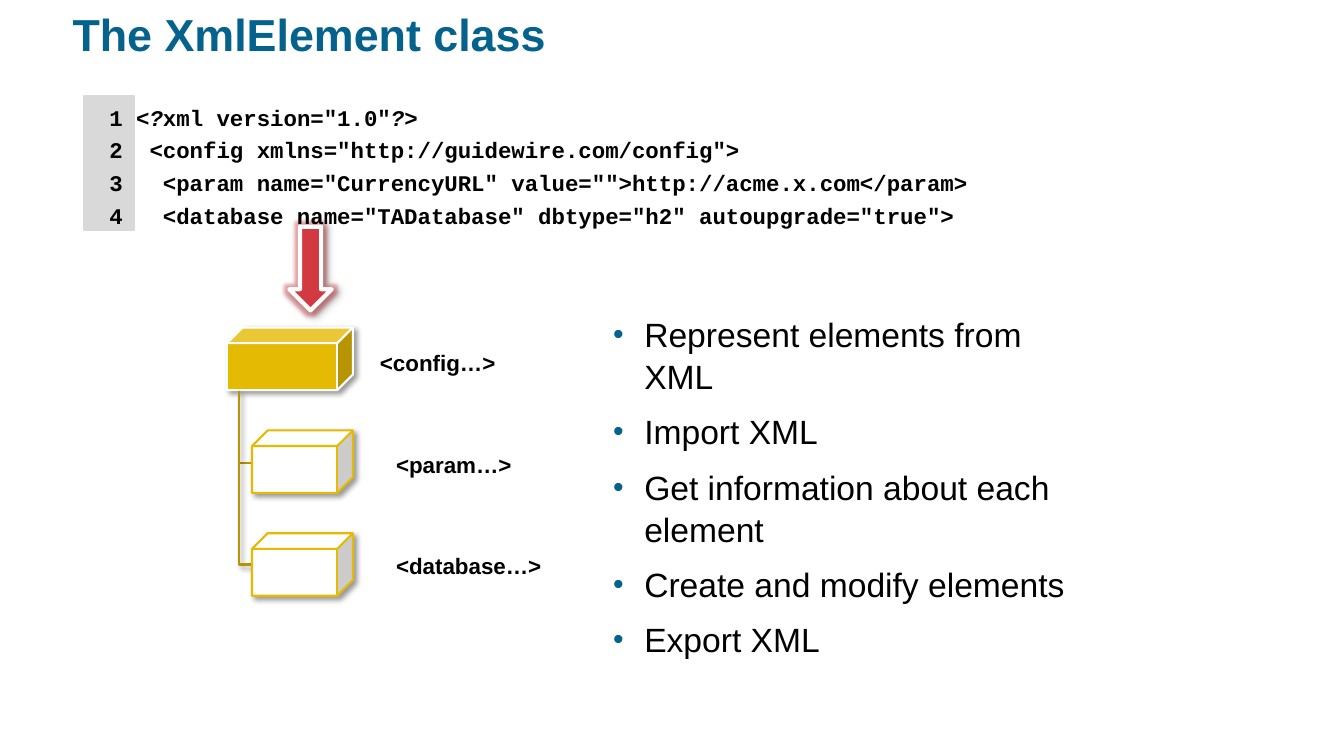
from lxml import etree
from pptx import Presentation
from pptx.dml.color import RGBColor
from pptx.enum.shapes import MSO_SHAPE as SHAPE
from pptx.enum.text import MSO_ANCHOR as ANCHOR
from pptx.oxml import parse_xml
from pptx.oxml.ns import nsdecls, qn
from pptx.util import Inches, Pt

BLUE = RGBColor(0x04, 0x62, 0x8C)
BLACK = RGBColor(0x00, 0x00, 0x00)
WHITE = RGBColor(0xFF, 0xFF, 0xFF)
GRAY = RGBColor(0xD9, 0xD9, 0xD9)
RED = RGBColor(0xD3, 0x39, 0x41)
GOLD = RGBColor(0xE5, 0xBA, 0x03)
DARK_GOLD = RGBColor(0xB7, 0x95, 0x02)

GLOW = f'<a:glow rad="{Pt(5)}"><a:srgbClr val="{RED}"><a:alpha val="40000"/></a:srgbClr></a:glow>'
SHADOW = (f'<a:outerShdw blurRad="{Pt(4)}" dist="{Pt(3)}" dir="2700000" algn="tl" rotWithShape="0">'
          '<a:srgbClr val="000000"><a:alpha val="40000"/></a:srgbClr></a:outerShdw>')

CODE_LINES = [
    ["  1 ", "<?", 'xml version="1.0"', "?>"],
    ['  2  <config xmlns="http://guidewire.com/config">'],
    ['  3   <param name="CurrencyURL" value="">http://acme.x.com</param>'],
    ['  4   <database name="TADatabase" dbtype="h2" autoupgrade="true">'],
]
BULLETS = ["Represent elements from XML", "Import XML", "Get information about each element",
           "Create and modify elements", "Export XML"]

presentation = Presentation()
presentation.slide_width, presentation.slide_height = Inches(13.33), Inches(7.5)
slide = presentation.slides.add_slide(presentation.slide_layouts[6])
shapes = slide.shapes


def add_text(box, lines, size, font="Arial", bold=False, color=BLACK, margins=(0, 0, 0, 0)):
    """Add a text box with one paragraph per line and return its text frame."""
    frame = shapes.add_textbox(*map(Inches, box)).text_frame
    frame.word_wrap = True
    (frame.margin_left, frame.margin_top,
     frame.margin_right, frame.margin_bottom) = map(Inches, margins)
    frame.text = "\n".join(lines)
    for paragraph in frame.paragraphs:
        for run in paragraph.runs:
            run.font.size, run.font.name, run.font.bold = Pt(size), font, bold
            run.font.color.rgb = color
    return frame


def style_shape(shape, fill, line, width, effects=""):
    shape.shadow.inherit = False
    if fill is None:
        shape.fill.background()
    else:
        shape.fill.solid()
        shape.fill.fore_color.rgb = fill
    shape.line.color.rgb = line
    shape.line.width = Pt(width)
    effect_list = shape._element.spPr.find(qn("a:effectLst"))
    for effect in parse_xml(f'<a:effectLst {nsdecls("a")}>{effects}</a:effectLst>'):
        effect_list.append(effect)


# Title and bullets
title = add_text((0.72, 0.13, 12.13, 0.81), ["The XmlElement class"], 32, bold=True, color=BLUE)
title.paragraphs[0].line_spacing = 0.9

bullets = add_text((6.08, 3.1, 4.65, 3.5), BULLETS, 24)
for index, paragraph in enumerate(bullets.paragraphs):
    paragraph.line_spacing = 1.04
    paragraph.space_before = Pt(9.6 if index else 0)
    properties = paragraph._p.get_or_add_pPr()
    properties.set("marL", str(Inches(0.31)))
    properties.set("indent", str(-Inches(0.31)))
    bullet_color = etree.SubElement(properties, qn("a:buClr"))
    etree.SubElement(bullet_color, qn("a:srgbClr"), val=str(BLUE))
    etree.SubElement(properties, qn("a:buSzPct"), val="90000")
    etree.SubElement(properties, qn("a:buFont"), typeface="Arial")
    etree.SubElement(properties, qn("a:buChar"), char="•")

# Element labels
for label, box in [("<config…>", (3.67, 3.25, 1.92, 0.69)),
                   ("<param…>", (3.83, 4.3, 1.67, 0.62)),
                   ("<database…>", (3.83, 5.3, 1.67, 0.62))]:
    frame = add_text(box, [label], 16, bold=True, margins=(0.1, 0.05, 0.1, 0.05))
    frame.vertical_anchor = ANCHOR.MIDDLE

# Arrow from the code to the tree
arrow = shapes.add_shape(SHAPE.DOWN_ARROW, Inches(2.87), Inches(2.25), Inches(0.42), Inches(0.83))
style_shape(arrow, RED, WHITE, 3, GLOW + SHADOW)

# Code listing with its line-number strip
strip = shapes.add_shape(SHAPE.RECTANGLE, Inches(0.83), Inches(0.95), Inches(0.5), Inches(1.33))
style_shape(strip, GRAY, GRAY, 1.5)

code = add_text((0.72, 0.97, 9.08, 1.33), ["" for _ in CODE_LINES], 16,
                margins=(0.1, 0, 0.1, 0.05))
for paragraph, pieces in zip(code.paragraphs, CODE_LINES):
    paragraph.line_spacing = 1.22
    for piece in pieces:
        run = paragraph.add_run()
        run.text = piece
        run.font.size, run.font.name, run.font.bold = Pt(16), "Courier New", True
        run.font.italic = piece in ("<?", "?>")
        run.font.color.rgb = BLACK

# Element tree: a root cube with two children on elbow lines
root = shapes.add_shape(SHAPE.CUBE, Inches(2.25), Inches(3.25), Inches(1.25), Inches(0.62))
style_shape(root, GOLD, WHITE, 1.5, SHADOW)
for top, elbow_y, effects in [(4.27, 4.59, ""), (5.29, 5.6, SHADOW)]:
    builder = shapes.build_freeform(Inches(2.37), Inches(3.88))
    builder.add_line_segments([(Inches(2.37), Inches(elbow_y)), (Inches(2.5), Inches(elbow_y))],
                              close=False)
    style_shape(builder.convert_to_shape(), None, DARK_GOLD, 1.5, effects)
    child = shapes.add_shape(SHAPE.CUBE, Inches(2.5), Inches(top), Inches(1), Inches(0.62))
    style_shape(child, WHITE, GOLD, 1.5, SHADOW)

presentation.save("out.pptx")
